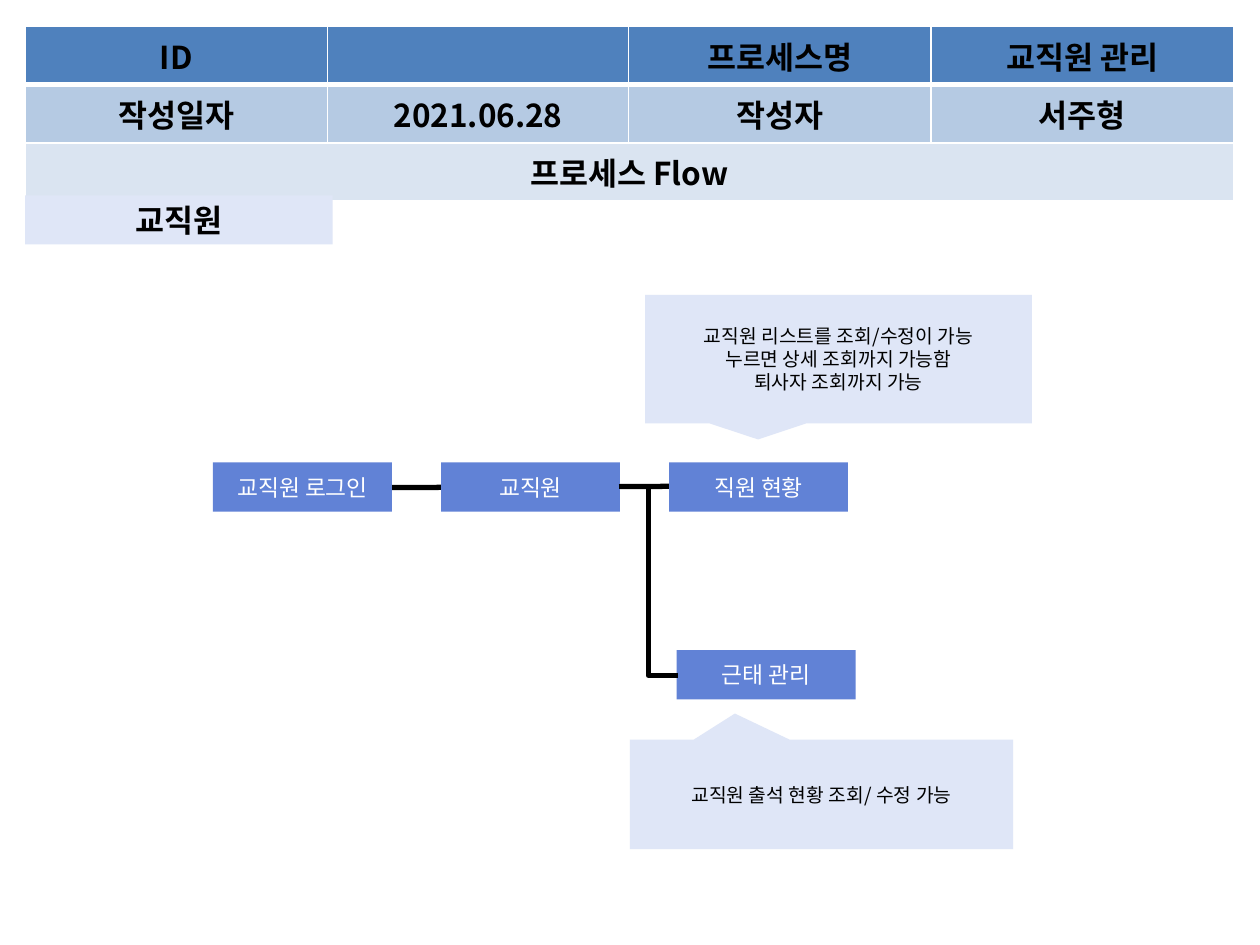
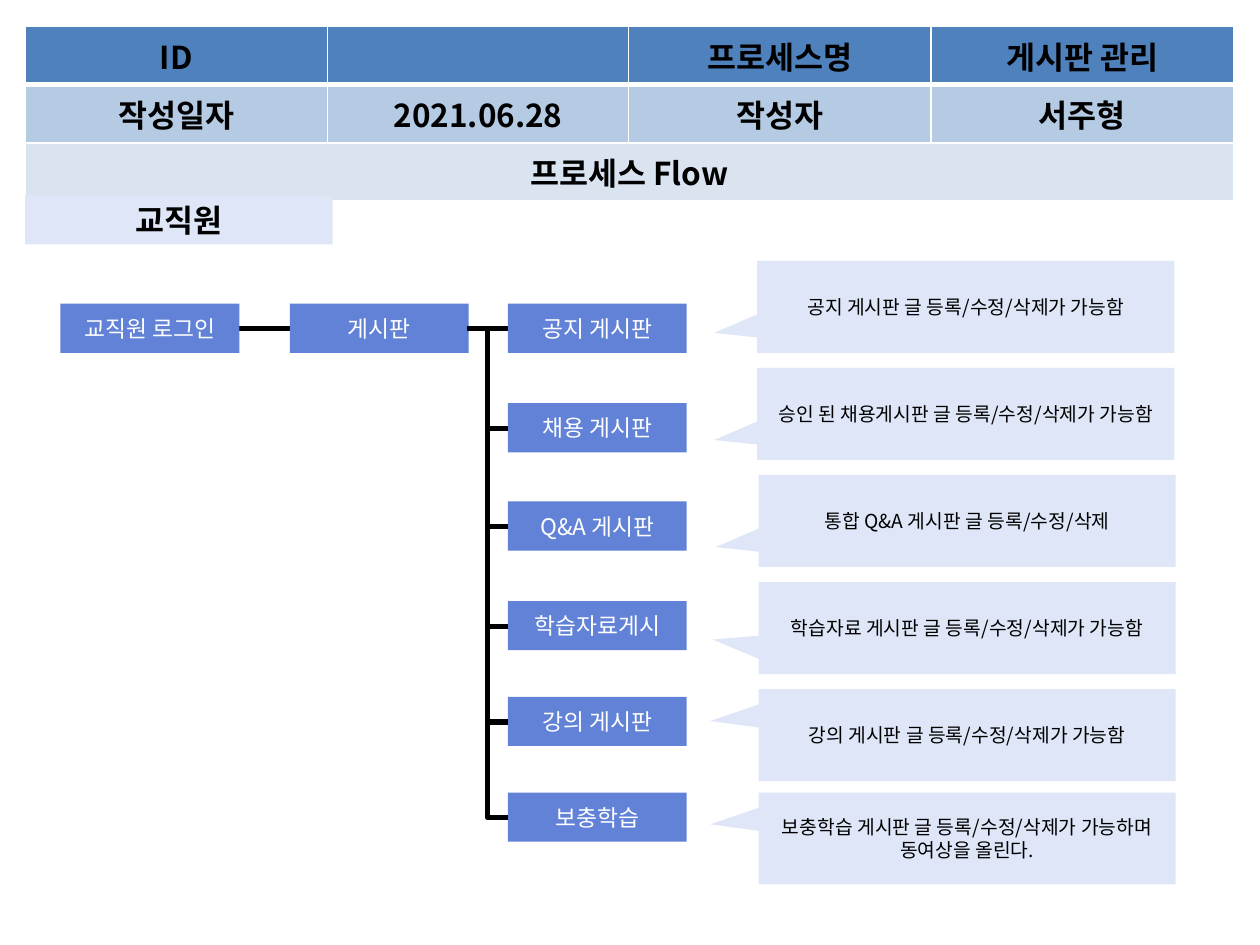
from lxml import etree
from pptx import Presentation
from pptx.dml.color import RGBColor
from pptx.enum import shapes, text
from pptx.oxml import ns
from pptx.util import Inches, Pt

FONT = "Noto Sans CJK KR"
BLACK = RGBColor(0x00, 0x00, 0x00)
WHITE = RGBColor(0xFF, 0xFF, 0xFF)
STEP_BLUE = RGBColor(0x61, 0x82, 0xD6)
PALE_BLUE = RGBColor(0xDF, 0xE6, 0xF7)
ROW_FILLS = (RGBColor(0x4F, 0x81, 0xBD), RGBColor(0xB5, 0xCA, 0xE3), RGBColor(0xDA, 0xE4, 0xF1))
COLUMN_WIDTHS = (1.02, 1.38, 2.39, 2.4, 2.4)
STEP_WIDTH, STEP_HEIGHT = 1.42, 0.39
TRUNK_LENGTH = 1.16


def write(frame, lines, size, color, bold=False):
    """Fill a text frame with centred paragraphs."""
    frame.text = "\n".join(lines)
    for paragraph in frame.paragraphs:
        paragraph.alignment = text.PP_ALIGN.CENTER
        font = paragraph.font
        font.size, font.bold, font.name = Pt(size), bold, FONT
        font.color.rgb = color
        etree.SubElement(font._element, ns.qn("a:ea"), typeface=FONT)


def add_box(slide, kind, box, fill, lines, size, color, bold=False):
    """Add a filled shape without outline, holding centred text."""
    shape = slide.shapes.add_shape(kind, *map(Inches, box))
    shape.shadow.inherit = False
    shape.fill.solid()
    shape.fill.fore_color.rgb = fill
    shape.line.fill.background()
    shape.text_frame.word_wrap = True
    shape.text_frame.vertical_anchor = text.MSO_ANCHOR.MIDDLE
    write(shape.text_frame, lines, size, color, bold)
    return shape


def add_step(slide, left, top, label):
    """Add one process step."""
    box = (left, top, STEP_WIDTH, STEP_HEIGHT)
    add_box(slide, shapes.MSO_SHAPE.RECTANGLE, box, STEP_BLUE, [label], 13, WHITE)


def add_callout(slide, box, tip, lines):
    """Add an explanation whose pointer ends at the given relative tip."""
    shape = add_box(slide, shapes.MSO_SHAPE.RECTANGULAR_CALLOUT, box, PALE_BLUE, lines, 11, BLACK)
    shape.adjustments[0], shape.adjustments[1] = tip


def add_link(slide, start, end, kind=shapes.MSO_CONNECTOR.STRAIGHT):
    """Add a thick black connector."""
    connector = slide.shapes.add_connector(kind, *map(Inches, (*start, *end)))
    connector.line.color.rgb = BLACK
    connector.line.width = Pt(3)
    etree.SubElement(connector._element.spPr, ns.qn("a:effectLst"))
    return connector


def add_trunk(slide, left, right, bottom):
    """Add a connector that runs down and then right into a step."""
    center_x, center_y = (left + right) / 2, bottom - TRUNK_LENGTH / 2
    half_length, half_reach = TRUNK_LENGTH / 2, (right - left) / 2
    start = (center_x - half_length, center_y - half_reach)
    end = (center_x + half_length, center_y + half_reach)
    connector = add_link(slide, start, end, shapes.MSO_CONNECTOR.ELBOW)
    properties = connector._element.spPr
    properties.find(ns.qn("a:prstGeom")).set("prst", "bentConnector2")
    frame = properties.find(ns.qn("a:xfrm"))
    frame.set("rot", "16200000")
    frame.set("flipH", "1")


def add_rule_below(cell):
    """Give a cell a thick white bottom border."""
    border = etree.Element(ns.qn("a:lnB"), w=str(Pt(3)))
    fill = etree.SubElement(border, ns.qn("a:solidFill"))
    etree.SubElement(fill, ns.qn("a:srgbClr"), val=str(WHITE))
    cell._tc.get_or_add_tcPr().insert(0, border)


def add_header(slide, left, top, process_name):
    """Add the document table and the role tag under it."""
    rows = (
        ("ID", "", "", "프로세스명", process_name),
        ("작성일자", "", "2021.06.28", "작성자", "서주형"),
        ("프로세스 Flow", "", "", "", ""),
    )
    frame = slide.shapes.add_table(3, 5, *map(Inches, (left, top, sum(COLUMN_WIDTHS), 1.23)))
    table = frame.table
    table.first_row = table.horz_banding = False
    for column, width in zip(table.columns, COLUMN_WIDTHS):
        column.width = Inches(width)
    for row_index, (labels, fill) in enumerate(zip(rows, ROW_FILLS)):
        for column_index, label in enumerate(labels):
            cell = table.cell(row_index, column_index)
            cell.fill.solid()
            cell.fill.fore_color.rgb = fill
            write(cell.text_frame, [label], 18, BLACK, True)
            if row_index == 0:
                add_rule_below(cell)
    for row_index, last_column in enumerate((1, 1, 4)):
        table.cell(row_index, 0).merge(table.cell(row_index, last_column))
    tag = (left, top + 1.34, 2.44, 0.39)
    add_box(slide, shapes.MSO_SHAPE.RECTANGLE, tag, PALE_BLUE, ["교직원"], 18, BLACK, True)


def add_process_slide(presentation, process_name, link_start, link_end):
    """Add a slide with its main link and header."""
    slide = presentation.slides.add_slide(presentation.slide_layouts[6])
    add_link(slide, link_start, link_end)
    add_header(slide, 0.2, 0.21, process_name)
    return slide


def add_staff_flow(slide, left, top):
    """Add the staff management flow."""
    for index, label in enumerate(("교직원 로그인", "교직원", "직원 현황")):
        add_step(slide, left + 1.81 * index, top, label)
    add_step(slide, left + 3.68, top + 1.49, "근태 관리")
    add_callout(slide, (left + 3.43, top - 1.33, 3.07, 1.02), (-0.208, 0.625),
                ["교직원 리스트를 조회/수정이 가능", "누르면 상세 조회까지 가능함", "퇴사자 조회까지 가능"])
    add_callout(slide, (left + 3.31, top + 2.2, 3.04, 0.87), (-0.226, -0.738),
                ["교직원 출석 현황 조회/ 수정 가능"])
    add_link(slide, (left + 3.22, top + 0.19), (left + 3.69, top + 1.69),
             shapes.MSO_CONNECTOR.ELBOW)


def add_board_flow(slide, left, top):
    """Add the board management flow with one branch for each board."""
    upper, level, lower = (-0.603, 0.284), (-0.61, 0.125), (-0.616, -0.154)
    boards = (
        ("공지 게시판", 0, 5.53, -0.34, upper, "공지 게시판 글 등록/수정/삭제가 가능함"),
        ("채용 게시판", 0.79, 5.53, 0.51, upper, "승인 된 채용게시판 글 등록/수정/삭제가 가능함"),
        ("Q&A 게시판", 1.57, 5.54, 1.36, upper, "통합 Q&A 게시판 글 등록/수정/삭제"),
        ("학습자료게시", 2.36, 5.54, 2.21, level, "학습자료 게시판 글 등록/수정/삭제가 가능함"),
        ("강의 게시판", 3.12, 5.54, 3.06, lower, "강의 게시판 글 등록/수정/삭제가 가능함"),
        ("보충학습", 3.88, 5.54, 3.88, lower,
         "보충학습 게시판 글 등록/수정/삭제가 가능하며 동여상을 올린다."),
    )
    board_left, trunk_left = left + 3.55, left + 3.39
    add_step(slide, left, top, "교직원 로그인")
    add_step(slide, left + 1.82, top, "게시판")
    for index, (label, offset, note_left, note_top, tip, note) in enumerate(boards):
        add_step(slide, board_left, top + offset, label)
        add_callout(slide, (left + note_left, top + note_top, 3.31, 0.73), tip, [note])
        if index == 1:
            add_link(slide, (left + 3.23, top + 0.2), (board_left, top + offset + 0.2),
                     shapes.MSO_CONNECTOR.ELBOW)
        elif index > 1:
            add_trunk(slide, trunk_left, board_left, top + offset + 0.2)


def main():
    """Build and save the presentation."""
    presentation = Presentation()
    presentation.slide_width, presentation.slide_height = Inches(10), Inches(7.5)
    staff = add_process_slide(presentation, "교직원 관리", (3.11, 3.87), (5.31, 3.86))
    add_staff_flow(staff, 1.69, 3.67)
    boards = add_process_slide(presentation, "게시판 관리", (1.9, 2.61), (4.03, 2.61))
    add_board_flow(boards, 0.48, 2.41)
    presentation.save("out.pptx")


main()
